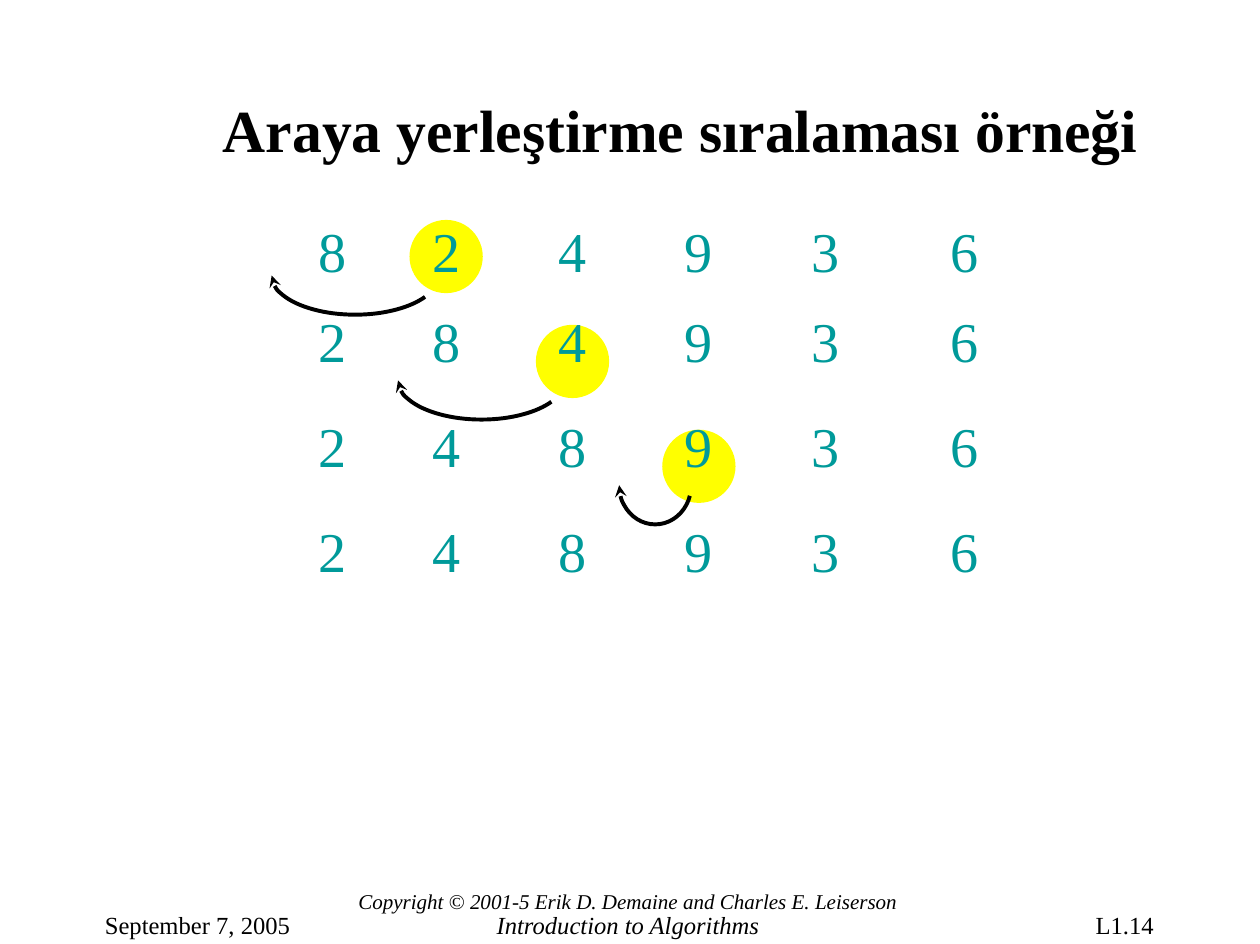
from lxml import etree
from pptx import Presentation
from pptx import util as u
from pptx.dml.color import RGBColor
from pptx.enum import shapes, text
from pptx.oxml.ns import qn

TITLE = "Araya yerleştirme sıralaması örneği"
STEPS = [
    (8, 2, 4, 9, 3, 6),
    (2, 8, 4, 9, 3, 6),
    (2, 4, 8, 9, 3, 6),
    (2, 4, 8, 9, 3, 6),
]
KEYS = [1, 2, 3]
ARC_WIDTHS = [1.32, 1.32, 0.57]
CREDIT = [
    ("Copyright © 2001-5 Erik D. Demaine and Charles E. Leiserson", 12, None),
    ("Introduction to Algorithms", 14, 14.5),
]
FOOTERS = [("September 7, 2005", 0.82, 1.49), ("L1.14", 8.66, 0.5)]
COLORS = {"ink": "000000", "digit": "009A9A", "key": "FFFF00"}
FONT = "Times New Roman"

WIDTH, HEIGHT = 9.97, 7.47
LEFT, TOP = 2.39, 1.7
COLS = [0.64, 1, 1, 1, 1, 0.64]
ROWS = [0.71, 0.83, 0.83, 0.71]
DISC = 0.58
ARC_HEIGHT = 0.62
ARC_START, ARC_END = 17, 180
NO_GRID = "{2D5ABB26-0587-4C30-8999-92F81FD0307C}"
ALIGN = text.PP_ALIGN


def rgb(name):
    return RGBColor.from_string(COLORS[name])


def box(*lengths):
    return [u.Inches(x) for x in lengths]


def write(p, words, size=14, color="ink", bold=False, italic=False,
          align=ALIGN.LEFT, indent=0, spacing=None):
    pPr = p._p.get_or_add_pPr()
    pPr.set("marL", str(u.Inches(indent)))
    pPr.set("indent", "0")
    p.alignment = align
    if spacing:
        p.line_spacing = u.Pt(spacing)
    r = p.add_run()
    r.text = words
    r.font.name, r.font.size = FONT, u.Pt(size)
    r.font.bold, r.font.italic = bold, italic
    r.font.color.rgb = rgb(color)


def frame(sp, top=0):
    tf = sp.text_frame
    tf.word_wrap = True
    tf.auto_size = text.MSO_AUTO_SIZE.NONE
    tf.margin_left = tf.margin_right = tf.margin_bottom = 0
    tf.margin_top = u.Inches(top)
    return tf


def add_key(s, row, col, arc_width):
    x = LEFT + sum(COLS[:col]) + (COLS[col] - DISC) / 2
    y = TOP + 0.04 + row * ROWS[1]
    disc = s.shapes.add_shape(shapes.MSO_SHAPE.OVAL, *box(x, y, DISC, DISC))
    disc.shadow.inherit = False
    disc.fill.solid()
    disc.fill.fore_color.rgb = rgb("key")
    disc.line.fill.background()

    right = x + 0.23
    middle = y + 0.44
    arc = s.shapes.add_shape(
        shapes.MSO_SHAPE.ARC,
        *box(right - arc_width, middle - ARC_HEIGHT / 2, arc_width, ARC_HEIGHT))
    arc.adjustments[0] = ARC_START * 0.6
    arc.adjustments[1] = ARC_END * 0.6
    arc.shadow.inherit = False
    arc.fill.background()
    arc.line.color.rgb = rgb("ink")
    arc.line.width = u.Pt(2.25)
    etree.SubElement(arc.line._get_or_add_ln(), qn("a:tailEnd"),
                     type="stealth", w="med", len="med")


def add_steps(s):
    gf = s.shapes.add_table(len(ROWS), len(COLS),
                            *box(LEFT, TOP, sum(COLS), sum(ROWS)))
    table = gf.table
    table.first_row = table.horz_banding = False
    table._tbl.tblPr.find(qn("a:tableStyleId")).text = NO_GRID
    for col, width in zip(table.columns, COLS):
        col.width = u.Inches(width)
    indents = {0: 0.03, len(COLS) - 1: 0.39}
    for i, step in enumerate(STEPS):
        table.rows[i].height = u.Inches(ROWS[i])
        for j, digit in enumerate(step):
            cell = table.cell(i, j)
            cell.fill.background()
            cell.margin_left = u.Inches(0.1)
            cell.margin_right = u.Inches(0 if j in indents else 0.1)
            cell.margin_top = u.Inches(0.06)
            write(cell.text_frame.paragraphs[0], str(digit), size=32, color="digit",
                  align=ALIGN.LEFT if j in indents else ALIGN.CENTER,
                  indent=indents.get(j, 0))


def main():
    prs = Presentation()
    prs.slide_width, prs.slide_height = box(WIDTH, HEIGHT)
    s = prs.slides.add_slide(prs.slide_layouts[5])

    title = s.shapes.title
    title.left, title.top, title.width, title.height = box(0.87, 0.56, 8.23, 0.74)
    tf = frame(title, top=0.14)
    tf.vertical_anchor = text.MSO_ANCHOR.BOTTOM
    write(tf.paragraphs[0], TITLE, size=34, bold=True, align=ALIGN.CENTER, indent=0.8)

    for row, (col, arc_width) in enumerate(zip(KEYS, ARC_WIDTHS)):
        add_key(s, row, col, arc_width)

    tf = frame(s.shapes.add_textbox(*box(2.82, 7.03, 4.3, 0.41)))
    for i, (words, size, spacing) in enumerate(CREDIT):
        p = tf.add_paragraph() if i else tf.paragraphs[0]
        write(p, words, size=size, italic=True, align=ALIGN.CENTER, spacing=spacing)
    for words, x, width in FOOTERS:
        tf = frame(s.shapes.add_textbox(*box(x, 7.2, width, 0.25)))
        write(tf.paragraphs[0], words, indent=0.01)

    add_steps(s)
    prs.save("out.pptx")


if __name__ == "__main__":
    main()
